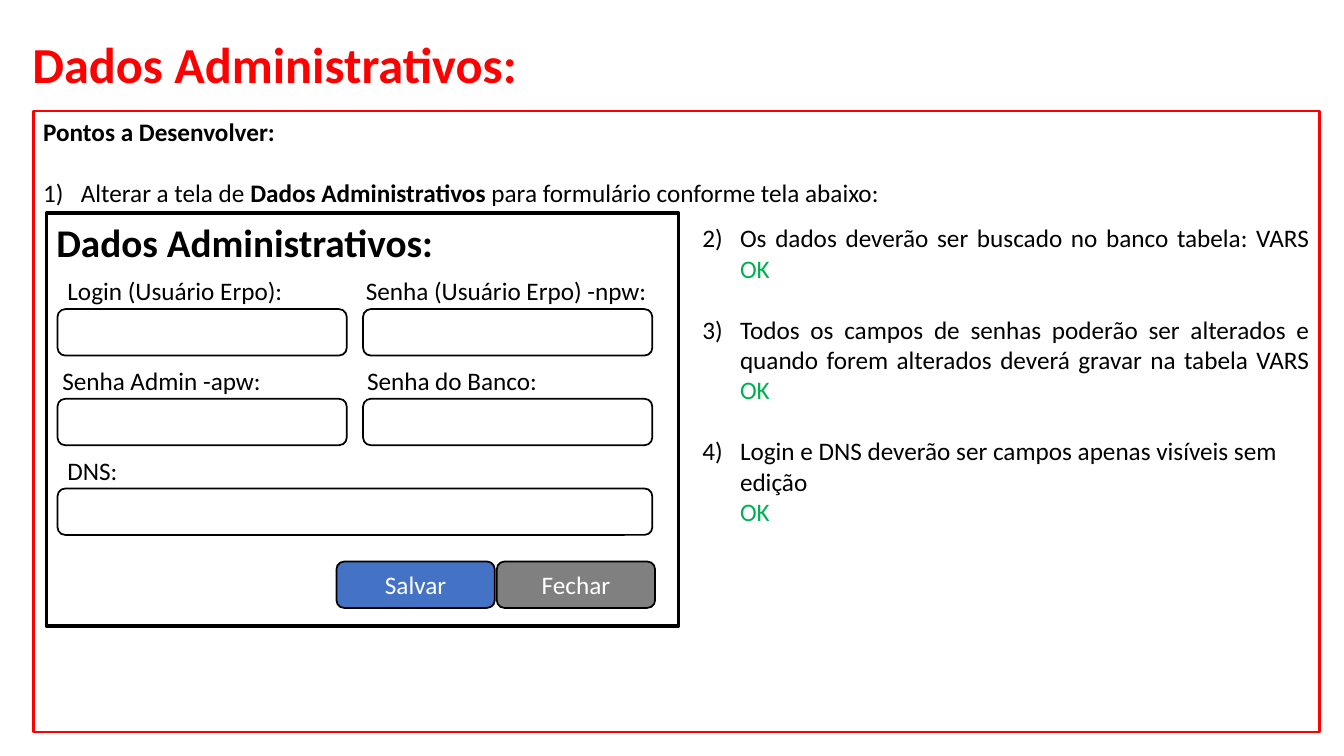
from lxml.etree import SubElement
from pptx import Presentation
from pptx.dml.color import RGBColor
from pptx.enum.shapes import MSO_SHAPE
from pptx.enum.text import MSO_ANCHOR, MSO_AUTO_SIZE, PP_ALIGN
from pptx.oxml.ns import qn
from pptx.util import Cm, Pt

COLORS = {"red": "FF0000", "black": "000000", "white": "FFFFFF",
          "green": "00B050", "blue": "4472C4", "gray": "808080"}
TITLE = "Dados Administrativos:"
INTRO = "Pontos a Desenvolver:"
FIRST_POINT = [("Alterar a tela de ", False), ("Dados Administrativos", True),
               (" para formulário conforme tela abaixo:", False)]
POINTS = [
    ("Os dados deverão ser buscado no banco tabela: VARS", "OK ", PP_ALIGN.JUSTIFY),
    ("Todos os campos de senhas poderão ser alterados e quando forem alterados "
     "deverá gravar na tabela VARS", "OK", PP_ALIGN.JUSTIFY),
    ("Login e DNS deverão ser campos apenas visíveis sem edição", "OK", PP_ALIGN.LEFT),
]
FIELDS = [
    ("Login (Usuário Erpo):", 0, 0, 1, 0),
    ("Senha (Usuário Erpo) -npw:", 1, 0, 1, -0.18),
    ("Senha Admin -apw:", 0, 1, 1, -0.13),
    ("Senha do Banco:", 1, 1, 1, -0.15),
    ("DNS:", 0, 2, 2, 0),
]
BUTTONS = [("Salvar", "blue"), ("Fechar", "gray")]

FORM_X, FORM_Y = 1.17, 5.37
FIELD_X, FIELD_Y, FIELD_W, FIELD_H = 1.45, 7.79, 7.29, 1.17
COL_STEP, ROW_STEP = 7.7, 2.26
LABEL_RISE, LABEL_W, LABEL_H = 0.97, 7.85, 1.02
BUTTON_X, BUTTON_Y, BUTTON_W, BUTTON_STEP = 8.48, 14.15, 3.99, 4.04
BLANK_LINE = Pt(22)

prs = Presentation()
prs.slide_width, prs.slide_height = Cm(33.87), Cm(19.05)
s = prs.slides.add_slide(prs.slide_layouts[5])


def rgb(name):
    return RGBColor.from_string(COLORS[name])


def add_run(p, text, size=18, color="black", bold=False):
    r = p.add_run()
    r.text = text
    r.font.name, r.font.size, r.font.bold = "Calibri", Pt(size), bold
    r.font.color.rgb = rgb(color)


def add_box(kind, x, y, w, h, line, width, fill=None):
    sp = s.shapes.add_shape(kind, Cm(x), Cm(y), Cm(w), Cm(h))
    sp.shadow.inherit = False
    if fill:
        sp.fill.solid()
        sp.fill.fore_color.rgb = rgb(fill)
    else:
        sp.fill.background()
    sp.line.color.rgb, sp.line.width = rgb(line), Pt(width)
    return sp


def add_text(x, y, w, h):
    tf = s.shapes.add_textbox(Cm(x), Cm(y), Cm(w), Cm(h)).text_frame
    tf.word_wrap = True
    return tf


def number(p, start):
    pPr = p._p.get_or_add_pPr()
    pPr.set("marL", str(Cm(0.95)))
    pPr.set("indent", str(-Cm(0.95)))
    SubElement(pPr, qn("a:buFont"), typeface="+mj-lt")
    SubElement(pPr, qn("a:buAutoNum"), type="arabicParenR", startAt=str(start))


title = s.shapes.title
title.left, title.top, title.width, title.height = Cm(0.56), Cm(0.71), Cm(15.34), Cm(1.8)
tf = title.text_frame
tf.word_wrap, tf.auto_size, tf.vertical_anchor = True, MSO_AUTO_SIZE.NONE, MSO_ANCHOR.TOP
p = tf.paragraphs[0]
p.alignment = PP_ALIGN.LEFT
add_run(p, TITLE, 36, "red", True)

tf = add_box(MSO_SHAPE.RECTANGLE, 0.84, 2.8, 32.41, 15.65, "red", 1.75).text_frame
tf.word_wrap, tf.vertical_anchor = True, MSO_ANCHOR.TOP
p = tf.paragraphs[0]
p.alignment = PP_ALIGN.JUSTIFY
add_run(p, INTRO, bold=True)
p = tf.add_paragraph()
p.alignment, p.space_before = PP_ALIGN.JUSTIFY, BLANK_LINE
number(p, 1)
for text, bold in FIRST_POINT:
    add_run(p, text, bold=bold)

add_box(MSO_SHAPE.RECTANGLE, FORM_X, FORM_Y, 15.93, 10.41, "black", 2.5)
add_run(add_text(FORM_X, FORM_Y, 15.34, 1.45).paragraphs[0], TITLE, 28, bold=True)

for label, col, row, span, shift in FIELDS:
    x, y = FIELD_X + col * COL_STEP, FIELD_Y + row * ROW_STEP
    width = FIELD_W + (span - 1) * COL_STEP
    add_box(MSO_SHAPE.ROUNDED_RECTANGLE, x, y, width, FIELD_H, "black", 1.25)
    tf = add_text(x + shift, y - LABEL_RISE, LABEL_W, LABEL_H)
    add_run(tf.paragraphs[0], label)

for i, (label, fill) in enumerate(BUTTONS):
    sp = add_box(MSO_SHAPE.ROUNDED_RECTANGLE, BUTTON_X + i * BUTTON_STEP, BUTTON_Y,
                 BUTTON_W, FIELD_H, "black", 1.25, fill)
    sp.text_frame.vertical_anchor = MSO_ANCHOR.MIDDLE
    p = sp.text_frame.paragraphs[0]
    p.alignment = PP_ALIGN.CENTER
    add_run(p, label, color="white")

tf = add_text(17.45, 5.49, 15.8, 9.4)
for i, (text, status, align) in enumerate(POINTS):
    p = tf.add_paragraph() if i else tf.paragraphs[0]
    p.alignment = align
    if i:
        p.space_before = BLANK_LINE
    number(p, i + 2)
    add_run(p, text)
    p.add_line_break()
    add_run(p, status, color="green")

prs.save("out.pptx")
